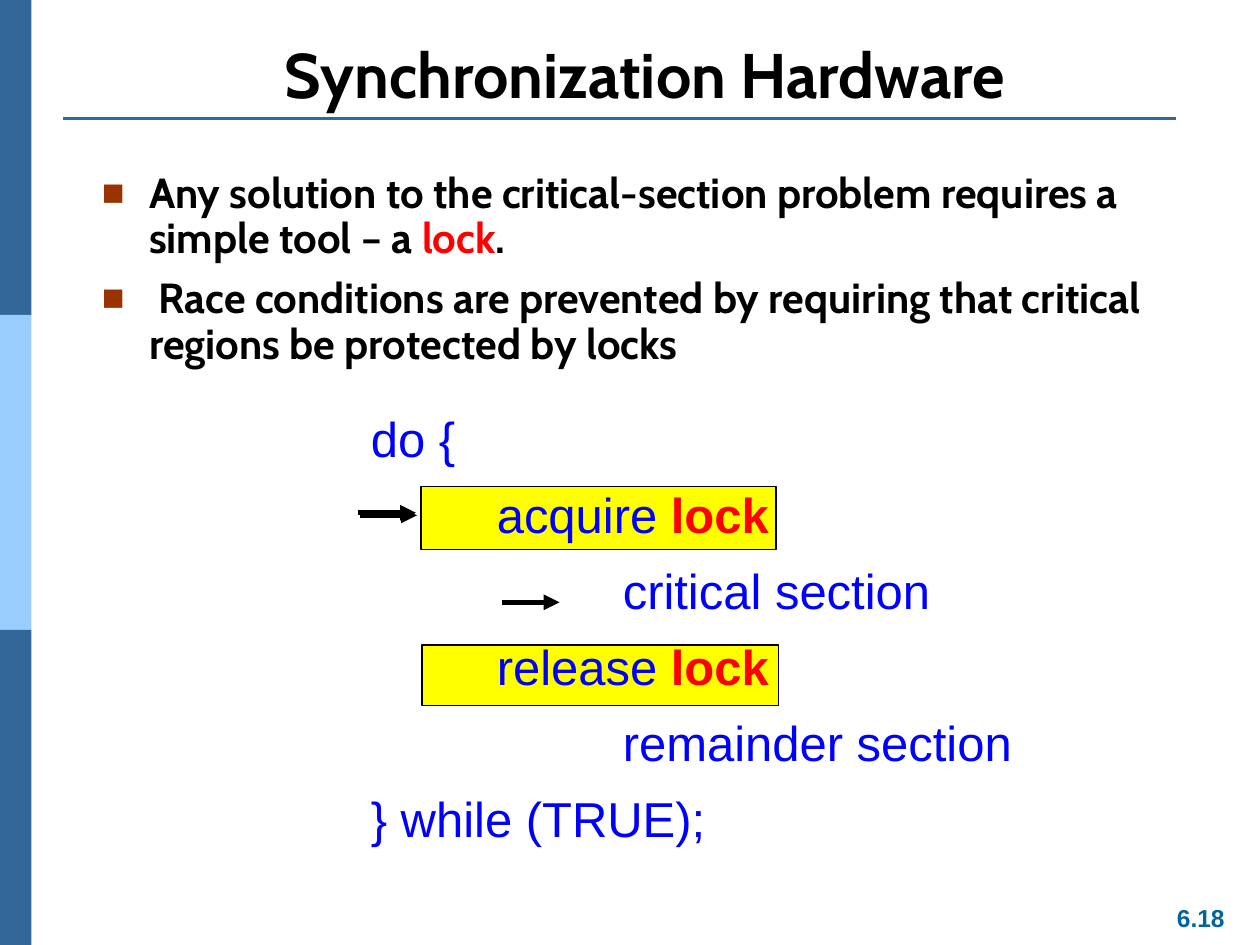
from pptx import Presentation
from pptx.dml.color import RGBColor as Rgb
from pptx.enum.shapes import MSO_CONNECTOR as Link, MSO_SHAPE as Kind
from pptx.enum.text import MSO_ANCHOR as Anchor, PP_ALIGN as Align
from pptx.oxml.ns import qn
from pptx.util import Pt
from lxml.etree import SubElement as Sub


class Theme:
    black = Rgb.from_string("000000")
    red = Rgb.from_string("FF0000")
    blue = Rgb.from_string("0000FF")
    yellow = Rgb.from_string("FFFF00")
    navy = Rgb.from_string("336699")
    sky = Rgb.from_string("99CCFF")
    teal = Rgb.from_string("006699")
    rust = "993300"
    head, body, code, page = Pt(36), Pt(24), Pt(28), Pt(14)
    sans, mono = "Cabin", "Arial"


def write(para, parts, face, size):
    for text, color, bold in parts:
        run = para.add_run()
        run.text = text
        font = run.font
        font.name, font.size, font.bold = face, size, bold
        font.color.rgb = color


def draw(start, end, y, color, width):
    line = slide.shapes.add_connector(Link.STRAIGHT, Pt(start), Pt(y), Pt(end), Pt(y))
    line.line.color.rgb = color
    line.line.width = Pt(width)
    Sub(line._element.spPr, qn("a:effectLst"))
    return line


deck = Presentation()
deck.slide_width, deck.slide_height = Pt(720), Pt(540)
slide = deck.slides.add_slide(deck.slide_layouts[6])

blocks = [
    (0, 0, 18, 180, Theme.navy, False),
    (0, 180, 18, 180, Theme.sky, False),
    (0, 360, 18, 180, Theme.navy, False),
    (241.2, 368.6, 203.8, 34.6, Theme.yellow, True),
    (240.5, 277.9, 203, 36, Theme.yellow, True),
]
for left, top, width, height, color, edge in blocks:
    block = slide.shapes.add_shape(Kind.RECTANGLE, Pt(left), Pt(top), Pt(width), Pt(height))
    block.shadow.inherit = False
    block.fill.solid()
    block.fill.fore_color.rgb = color
    if edge:
        block.line.color.rgb = Theme.black
        block.line.width = Pt(0.75)
    else:
        block.line.fill.background()

draw(36, 672, 67.7, Theme.navy, 1.5)

title = slide.shapes.add_textbox(Pt(44.6), Pt(21.6), Pt(648), Pt(45.4)).text_frame
title.word_wrap = True
title.vertical_anchor = Anchor.BOTTOM
title.paragraphs[0].alignment = Align.CENTER
write(title.paragraphs[0], [("Synchronization Hardware", Theme.black, True)], Theme.sans, Theme.head)

points = [
    [("Any solution to the critical-section problem requires a simple tool – a ", Theme.black, True),
     ("lock", Theme.red, True), (".", Theme.black, True)],
    [(" Race conditions are prevented by requiring that critical regions be protected by locks",
      Theme.black, True)],
]
code = [
    [("\tdo {", Theme.blue, False)],
    [("\t\tacquire ", Theme.blue, False), ("lock", Theme.red, True)],
    [("\t\t\tcritical section", Theme.blue, False)],
    [("\t\trelease ", Theme.blue, False), ("lock", Theme.red, True)],
    [("\t\t\tremainder section", Theme.blue, False)],
    [("\t} while (TRUE);", Theme.blue, False)],
]
texts = [
    (51.1, 94.8, 651.6, 348.5, points, Theme.sans, Theme.body, 0.9, 8.4, True),
    (177.8, 230, 553, 247, code, Theme.mono, Theme.code, 1, 9.8, False),
]
for left, top, width, height, rows, face, size, pitch, gap, mark in texts:
    frame = slide.shapes.add_textbox(Pt(left), Pt(top), Pt(width), Pt(height)).text_frame
    frame.word_wrap = True
    for i, parts in enumerate(rows):
        para = frame.add_paragraph() if i else frame.paragraphs[0]
        props = para._p.get_or_add_pPr()
        props.set("marL", str(Pt(27)))
        props.set("indent", str(-Pt(27)))
        props.set("defTabSz", str(Pt(72)))
        if mark:
            Sub(Sub(props, qn("a:buClr")), qn("a:srgbClr"), val=Theme.rust)
            Sub(props, qn("a:buSzPct"), val="90000")
            Sub(props, qn("a:buFont"), typeface=Theme.mono)
            Sub(props, qn("a:buChar"), char="■")
        para.line_spacing = pitch
        para.space_before = Pt(gap if i else 0)
        write(para, parts, face, size)

for start, end, y in [(204.5, 237.6, 293), (205.9, 238.3, 294.5), (286.6, 319.7, 344.2)]:
    arrow = draw(start, end, y, Theme.black, 3)
    Sub(arrow.line._get_or_add_ln(), qn("a:tailEnd"), type="triangle")

page = slide.shapes.add_textbox(Pt(664.6), Pt(512.6), Pt(43.2), Pt(24.5)).text_frame
page.word_wrap = False
page.paragraphs[0].alignment = Align.CENTER
write(page.paragraphs[0], [("6.18", Theme.teal, True)], Theme.mono, Theme.page)

deck.save("out.pptx")
